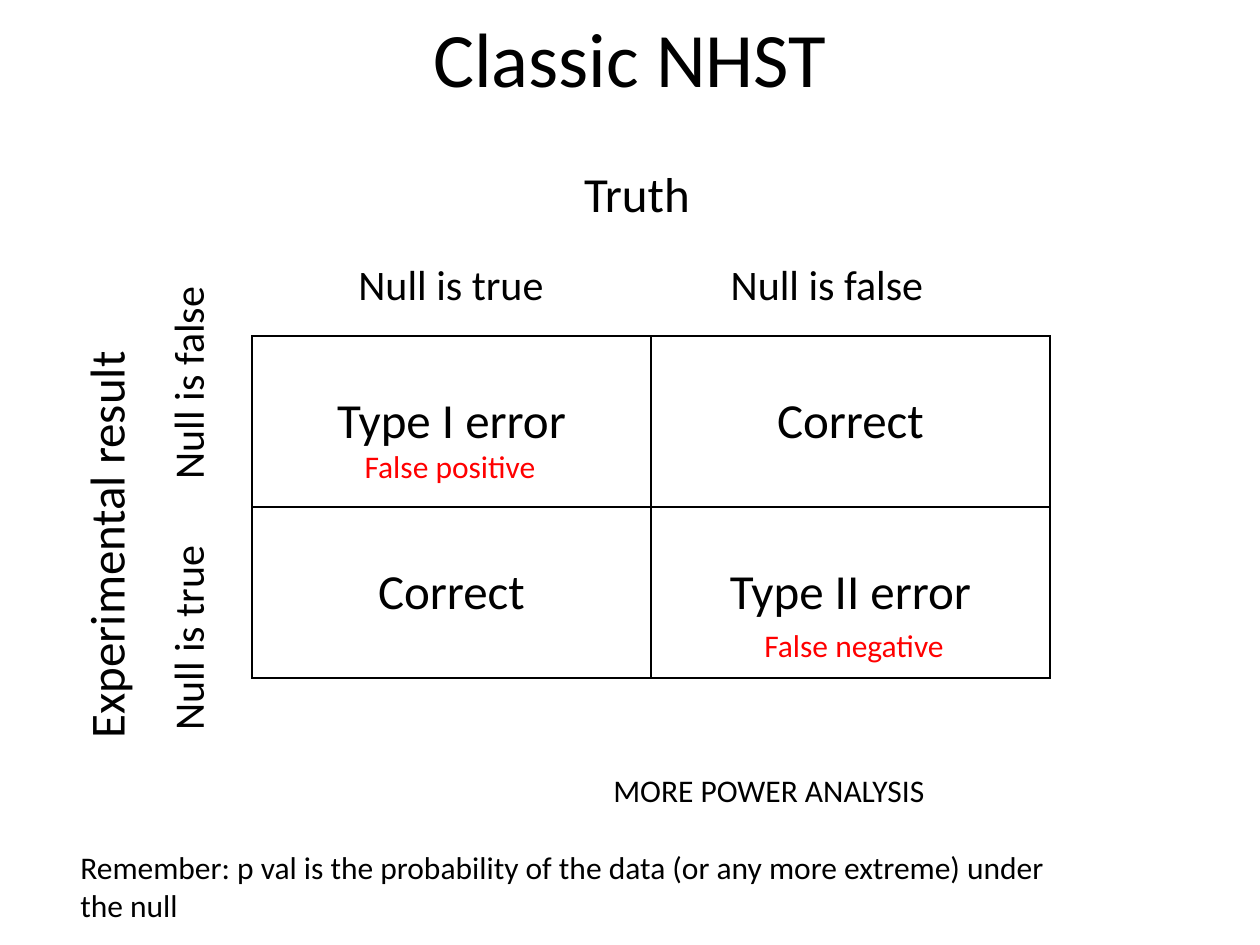
from lxml import etree
from pptx import Presentation, util as u
from pptx.dml.color import RGBColor
from pptx.enum import text
from pptx.oxml import ns

PX = u.Inches(1) // 126
COLORS = {"ink": "000000", "accent": "FF0000", "paper": "FFFFFF"}


class Page:
    font = "Calibri"

    def __init__(self, deck):
        self.slide = deck.slides.add_slide(deck.slide_layouts[6])
        fill = self.slide.background.fill
        fill.solid()
        fill.fore_color.rgb = RGBColor.from_string(COLORS["paper"])

    def set_words(self, frame, words, size, color="ink", align=text.PP_ALIGN.CENTER):
        frame.text = words
        para = frame.paragraphs[0]
        para.alignment = align
        for span in para.runs:
            span.font.name = self.font
            span.font.size = u.Pt(size)
            span.font.color.rgb = RGBColor.from_string(COLORS[color])

    def box(self, words, left, top, width, height, size, **style):
        box = self.slide.shapes.add_textbox(left * PX, top * PX, width * PX, height * PX)
        box.text_frame.word_wrap = True
        self.set_words(box.text_frame, words, size, **style)
        return box

    def label(self, words, center_x, center_y, width, size, rotation=0, color="ink"):
        height = size * 2 + 14
        box = self.box(words, center_x - width // 2, center_y - height // 2,
                       width, height, size, color=color)
        box.text_frame.vertical_anchor = text.MSO_ANCHOR.MIDDLE
        box.rotation = rotation

    def border(self, cell):
        properties = cell._tc.get_or_add_tcPr()
        for side in ("lnL", "lnR", "lnT", "lnB"):
            line = etree.SubElement(properties, ns.qn(f"a:{side}"), w=str(u.Pt(1)))
            fill = etree.SubElement(line, ns.qn("a:solidFill"))
            etree.SubElement(fill, ns.qn("a:srgbClr"), val=COLORS["ink"])

    def table(self, rows, left, top, column_width, row_height, size):
        columns = len(rows[0])
        table = self.slide.shapes.add_table(
            len(rows), columns, left * PX, top * PX,
            columns * column_width * PX, len(rows) * row_height * PX).table
        table.first_row = table.horz_banding = False
        for r, row in enumerate(rows):
            for c, words in enumerate(row):
                cell = table.cell(r, c)
                self.border(cell)
                cell.fill.background()
                cell.vertical_anchor = text.MSO_ANCHOR.MIDDLE
                self.set_words(cell.text_frame, words, size)


def main():
    deck = Presentation()
    deck.slide_width, deck.slide_height = u.Inches(10), u.Inches(7.5)
    page = Page(deck)

    page.label("Classic NHST", 630, 57, 1260, 44)
    page.table([["Type I error", "Correct"], ["Correct", "Type II error"]],
               252, 336, 399, 171, 28)

    page.label("Truth", 637, 193, 150, 28)
    page.label("Null is true", 451, 284, 230, 24)
    page.label("Null is false", 827, 284, 230, 24)

    page.label("Experimental result", 105, 545, 486, 28, rotation=270)
    page.label("Null is false", 187, 383, 230, 24, rotation=270)
    page.label("Null is true", 187, 638, 230, 24, rotation=270)

    page.label("False positive", 450, 466, 222, 18, color="accent")
    page.label("False negative", 854, 645, 232, 18, color="accent")

    page.box("Remember: p val is the probability of the data (or any more extreme) under the null",
             68, 842, 1009, 89, 18, align=text.PP_ALIGN.LEFT)
    page.label("MORE POWER ANALYSIS", 769, 790, 340, 18)

    deck.save("out.pptx")


if __name__ == "__main__":
    main()
